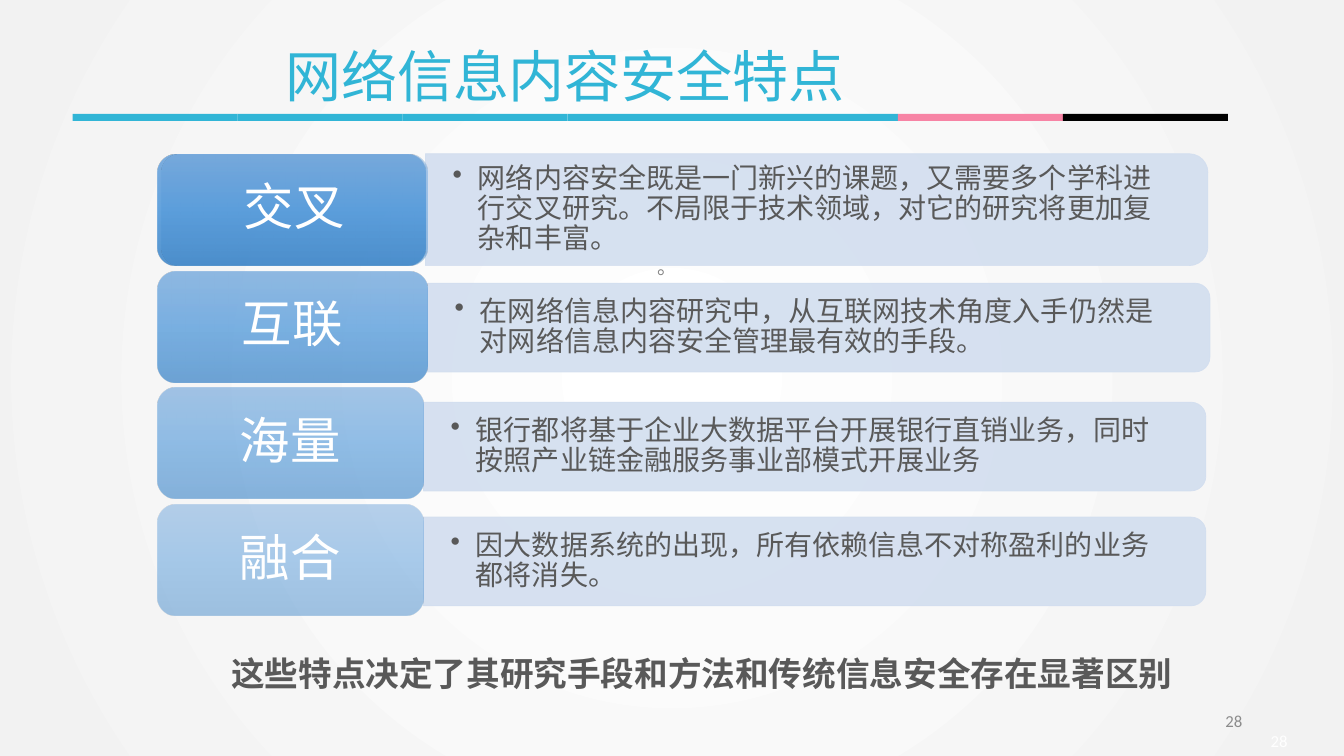
from dataclasses import dataclass

from lxml import etree
from pptx import Presentation
from pptx import util as u
from pptx.dml.color import RGBColor
from pptx.enum import shapes, text
from pptx.oxml import parse_xml
from pptx.oxml.ns import nsdecls, qn


@dataclass(frozen=True)
class Theme:
    cjk: str = "Noto Sans CJK SC"
    latin: str = "Calibri"
    cyan: str = "31B5D6"
    pink: str = "F784A5"
    black: str = "000000"
    white: str = "FFFFFF"
    body: str = "595959"
    mark: str = "7F7F7F"
    number: str = "8C8C8C"
    bar: str = "D2DEEF"
    badge: tuple = ((0, "71A6DB"), (50, "559BDB"), (100, "448ACA"))
    backdrop: tuple = ((0, "FFFFFF"), (100, "F2F2F2"))
    title_size: int = 40
    badge_size: int = 36
    closing_size: int = 24
    body_size: int = 20
    mark_size: int = 14
    number_size: int = 12


T = Theme()
SHAPE = shapes.MSO_SHAPE
ALIGN = text.PP_ALIGN

# label, badge opacity, bar left, bar middle, bar height, description
ROWS = [
    ("交叉", 90, 4.22, 2.08, 1.11,
     "网络内容安全既是一门新兴的课题，又需要多个学科进行交叉研究。不局限于技术领域，对它的研究将更加复杂和丰富。"),
    ("互联", 77, 4.24, 3.25, 0.88,
     "在网络信息内容研究中，从互联网技术角度入手仍然是对网络信息内容安全管理最有效的手段。"),
    ("海量", 63, 4.2, 4.43, 0.88,
     "银行都将基于企业大数据平台开展银行直销业务，同时按照产业链金融服务事业部模式开展业务"),
    ("融合", 50, 4.2, 5.57, 0.88,
     "因大数据系统的出现，所有依赖信息不对称盈利的业务都将消失。"),
]


def gradient(stops, direction, alpha=100):
    marks = "".join(
        f'<a:gs pos="{pos * 1000}"><a:srgbClr val="{color}">'
        f'<a:alpha val="{alpha * 1000}"/></a:srgbClr></a:gs>'
        for pos, color in stops)
    return parse_xml(f'<a:gradFill {nsdecls("a")} rotWithShape="1">'
                     f'<a:gsLst>{marks}</a:gsLst>{direction}</a:gradFill>')


def add_text(s, box, words, size, color, font=T.cjk, bold=False, align=ALIGN.LEFT,
             middle=False, inset=(0.1, 0.05), spacing=1.0, bullet=False, wrap=True):
    sp = s.shapes.add_textbox(*map(u.Inches, box))
    tf = sp.text_frame
    tf.word_wrap = wrap
    tf.vertical_anchor = text.MSO_ANCHOR.MIDDLE if middle else text.MSO_ANCHOR.TOP
    tf.margin_left = tf.margin_right = u.Inches(inset[0])
    tf.margin_top = tf.margin_bottom = u.Inches(inset[1])
    p = tf.paragraphs[0]
    p.alignment = align
    p.line_spacing = spacing
    if bullet:
        pPr = p._p.get_or_add_pPr()
        pPr.set("marL", str(u.Inches(0.25)))
        pPr.set("indent", str(u.Inches(-0.25)))
        etree.SubElement(pPr, qn("a:buChar")).set("char", "•")
    r = p.add_run()
    r.text = words
    r.font.size = u.Pt(size)
    r.font.bold = bold
    r.font.name = font
    r.font.color.rgb = RGBColor.from_string(color)
    etree.SubElement(r._r.get_or_add_rPr(), qn("a:ea")).set("typeface", font)


def add_block(s, kind, box, color=None):
    sp = s.shapes.add_shape(kind, *map(u.Inches, box))
    sp.shadow.inherit = False
    sp.line.fill.background()
    if color:
        sp.fill.solid()
        sp.fill.fore_color.rgb = RGBColor.from_string(color)
    return sp


def add_badge(s, box, alpha):
    sp = add_block(s, SHAPE.ROUNDED_RECTANGLE, box)
    fill = gradient(T.badge, '<a:lin ang="5400000" scaled="0"/>', alpha)
    sp._element.spPr.find(qn("a:prstGeom")).addnext(fill)


def add_bar(s, box):
    # A quarter turn puts the two rounded corners on the right
    left, top, width, height = box
    shift = (width - height) / 2
    sp = add_block(s, SHAPE.ROUND_2_SAME_RECTANGLE,
                   (left + shift, top - shift, height, width), T.bar)
    sp.rotation = 90
    sp.line.color.rgb = RGBColor.from_string(T.bar)
    sp.line.width = u.Pt(0.5)
    for color in sp._element.spPr.iter(qn("a:srgbClr")):
        etree.SubElement(color, qn("a:alpha")).set("val", "90000")


def add_background(s):
    s.background.fill.solid()
    bgPr = s._element.cSld.find(qn("p:bg")).find(qn("p:bgPr"))
    circle = ('<a:path path="circle"><a:fillToRect l="50000" t="50000" '
              'r="50000" b="50000"/></a:path>')
    bgPr.replace(bgPr.find(qn("a:solidFill")), gradient(T.backdrop, circle))


def add_heading(s, box):
    left, top, width, height = box
    colors = [T.cyan] * 5 + [T.pink, T.black]
    step = width / len(colors)
    for i, color in enumerate(colors):
        add_block(s, SHAPE.RECTANGLE,
                  (left + i * step, top + height - 0.07, step, 0.07), color)
    add_text(s, (left + 2.01, top, 5.81, 0.77), "网络信息内容安全特点",
             T.title_size, T.cyan, wrap=False)


def add_features(s, box):
    left, top, width, height = box
    pitch, badge_height = 1.16, 1.1
    for i, (label, alpha, bar_left, bar_mid, bar_height, words) in enumerate(ROWS):
        # Description bar
        bar_width = 7.76
        add_bar(s, (bar_left, bar_mid - bar_height / 2, bar_width, bar_height))
        add_text(s, (bar_left, bar_mid - bar_height / 2 + 0.04, bar_width - 0.04,
                     bar_height - 0.08),
                 words, T.body_size, T.body, middle=True, inset=(0.27, 0.14),
                 spacing=0.9, bullet=True)
        # Label badge; the first one carries a second, lighter layer
        y, badge_width = top + i * pitch, bar_left - left
        add_badge(s, (left, y, badge_width, badge_height), alpha)
        label_left = left + 0.06
        if i == 0:
            add_badge(s, (left + 0.04, y, 2.64, badge_height), 50)
            label_left = left + 0.09
        add_text(s, (label_left, y + 0.05, badge_width - 0.12, badge_height - 0.1),
                 label, T.badge_size, T.white, align=ALIGN.CENTER, middle=True,
                 inset=(0.15, 0.07), spacing=0.9)


def add_footer(s, box):
    left, top, width, height = box
    add_text(s, (left, top, width, 0.5),
             "这些特点决定了其研究手段和方法和传统信息安全存在显著区别",
             T.closing_size, T.body, bold=True, align=ALIGN.CENTER)
    # Grey page number, and a white one below it
    for x, y, color in [(8.63, 0.52, T.number), (9.08, 0.72, T.white)]:
        add_text(s, (left + x, top + y, 3, 0.4), "28", T.number_size, color,
                 font=T.latin, align=ALIGN.RIGHT, middle=True)


def main():
    prs = Presentation()
    prs.slide_width, prs.slide_height = u.Inches(13.33), u.Inches(7.5)
    s = prs.slides.add_slide(prs.slide_layouts[6])
    add_background(s)
    add_text(s, (6.42, 2.51, 5.13, 4.24), "。", T.mark_size, T.mark, spacing=0.9)
    add_features(s, (1.56, 1.53, 10.45, 4.58))
    add_heading(s, (0.72, 0.36, 11.46, 0.84))
    add_footer(s, (0.79, 6.43, 12.34, 0.92))
    prs.save("out.pptx")


if __name__ == "__main__":
    main()
